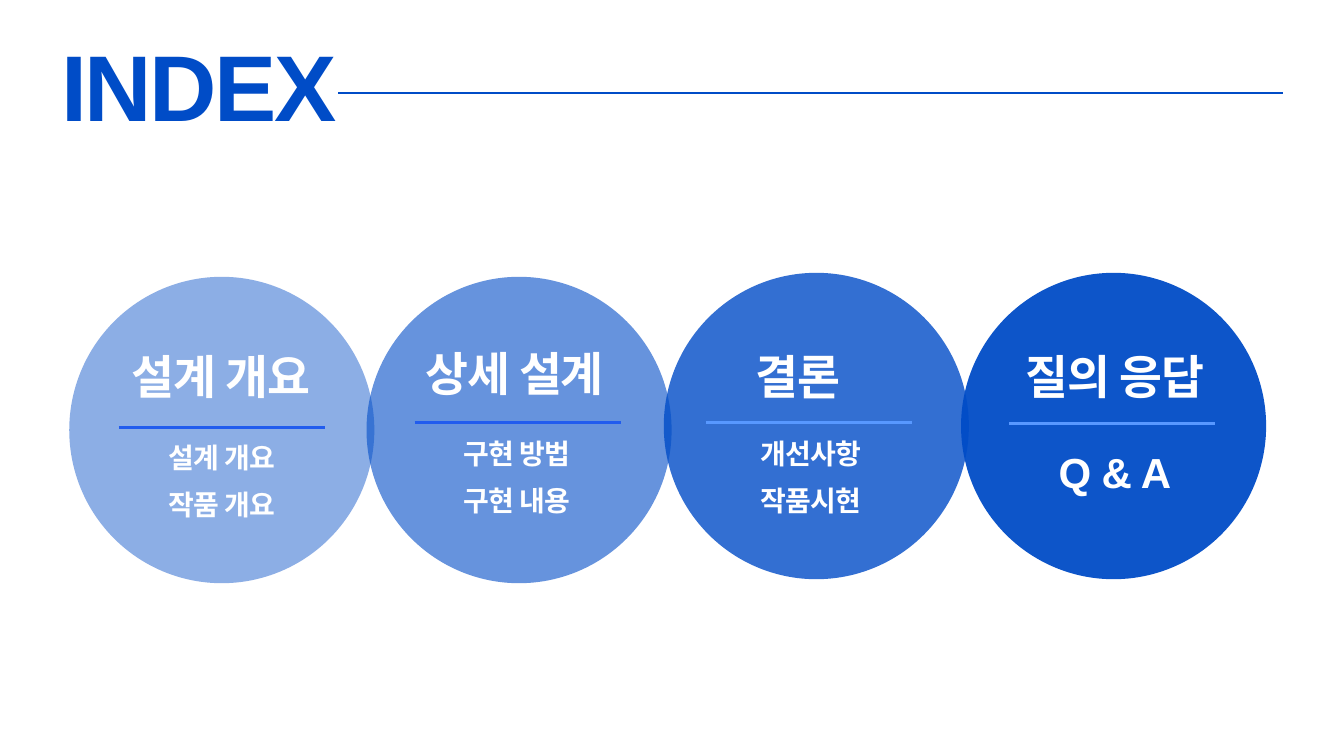
"""Build the index slide: a heading with a rule and four linked circles."""
from lxml import etree
from pptx import Presentation
from pptx.dml.color import RGBColor
from pptx.enum.shapes import MSO_CONNECTOR, MSO_SHAPE
from pptx.enum.text import MSO_AUTO_SIZE, PP_ALIGN
from pptx.oxml.ns import qn
from pptx.util import Pt

LINE, OVAL = MSO_CONNECTOR.STRAIGHT, MSO_SHAPE.OVAL
LEFT, MID = PP_ALIGN.LEFT, PP_ALIGN.CENTER
GROW = MSO_AUTO_SIZE.SHAPE_TO_FIT_TEXT

THEME = {
    "font": "Arial",
    "blue": "004CC7",
    "deep": "215CEE",
    "pale": "5898FF",
    "white": "FFFFFF",
    "head": {"size": 100, "lead": 74.8, "track": -2.6},
    "title": {"size": 50, "lead": 33.6, "track": -1.1},
    "item": {"size": 30, "lead": 25.2, "track": -0.7},
    "large": {"size": 45, "lead": 25.2, "track": -0.7},
}

HEAD = "INDEX"
TOPICS = [
    {"title": "설계 개요", "items": ["설계 개요", "작품 개요"], "style": "item",
     "alpha": 45, "top": 296.6, "rule": (127.4, 457.9, "deep"),
     "name": (111.6, 399.6), "list": (112.3, 483.1)},
    {"title": "상세 설계", "items": ["구현 방법", "구현 내용"], "style": "item",
     "alpha": 60, "top": 296.6, "rule": (444.2, 452.9, "deep"),
     "name": (426.2, 396), "list": (428.4, 478.8)},
    {"title": "결론", "items": ["개선사항", "작품시현"], "style": "item",
     "alpha": 80, "top": 292.3, "rule": (756, 452.9, "pale"),
     "name": (730, 399.6), "list": (743.8, 478.8)},
    {"title": "질의 응답", "items": ["Q & A"], "style": "large",
     "alpha": 95, "top": 292.3, "rule": (1081.4, 453.6, "pale"),
     "name": (1069.2, 399.6), "list": (1069.2, 506.9)},
]
START, STEP = 74.2, 318.5
WIDE, HIGH = 326.9, 328.3
RULE, TEXT = 220.7, 250.6


def color(name):
    return RGBColor.from_string(THEME[name])


def put(target, values):
    for key, value in values.items():
        setattr(target, key, value)


def add_rule(slide, left, top, width, tint, weight):
    rule = slide.shapes.add_connector(
        LINE, Pt(left), Pt(top), Pt(left + width), Pt(top))
    rule.line.color.rgb = color(tint)
    rule.line.width = Pt(weight)
    etree.SubElement(rule._element.spPr, qn("a:effectLst"))


def add_disc(slide, left, top, alpha):
    disc = slide.shapes.add_shape(OVAL, Pt(left), Pt(top), Pt(WIDE), Pt(HIGH))
    disc.shadow.inherit = False
    disc.line.fill.background()
    disc.fill.solid()
    disc.fill.fore_color.rgb = color("blue")
    tint = disc._element.spPr.find(qn("a:solidFill"))[0]
    etree.SubElement(tint, qn("a:alpha"), val=str(alpha * 1000))


def add_text(slide, lines, spot, width, style, tint, align):
    look = THEME[style]
    lead = look["lead"]
    high = lead * (2 * len(lines) - 1)
    box = slide.shapes.add_textbox(Pt(spot[0]), Pt(spot[1]), Pt(width), Pt(high))
    frame = box.text_frame
    put(frame, {"word_wrap": True, "auto_size": GROW, "margin_left": 0,
                "margin_right": 0, "margin_top": 0, "margin_bottom": 0})
    for rank, line in enumerate(lines):
        para = frame.add_paragraph() if rank else frame.paragraphs[0]
        put(para, {"alignment": align, "line_spacing": Pt(lead),
                   "space_before": Pt(lead if rank else 0)})
        run = para.add_run()
        run.text = line
        put(run.font, {"name": THEME["font"], "size": Pt(look["size"]), "bold": True})
        run.font.color.rgb = color(tint)
        run._r.get_or_add_rPr().set("spc", str(round(look["track"] * 100)))


def main():
    deck = Presentation()
    put(deck, {"slide_width": Pt(1440), "slide_height": Pt(810)})
    slide = deck.slides.add_slide(deck.slide_layouts[6])
    add_text(slide, [HEAD], (65.5, 74.9), 778.3, "head", "blue", LEFT)
    add_rule(slide, 362.2, 99.4, 1012.3, "blue", 2.25)
    for rank, topic in enumerate(TOPICS):
        add_disc(slide, START + rank * STEP, topic["top"], topic["alpha"])
    for topic in TOPICS:
        left, top, tint = topic["rule"]
        add_rule(slide, left, top, RULE, tint, 3)
        add_text(slide, [topic["title"]], topic["name"], TEXT, "title", "white", MID)
        add_text(slide, topic["items"], topic["list"], TEXT, topic["style"], "white", MID)
    deck.save("out.pptx")


if __name__ == "__main__":
    main()
